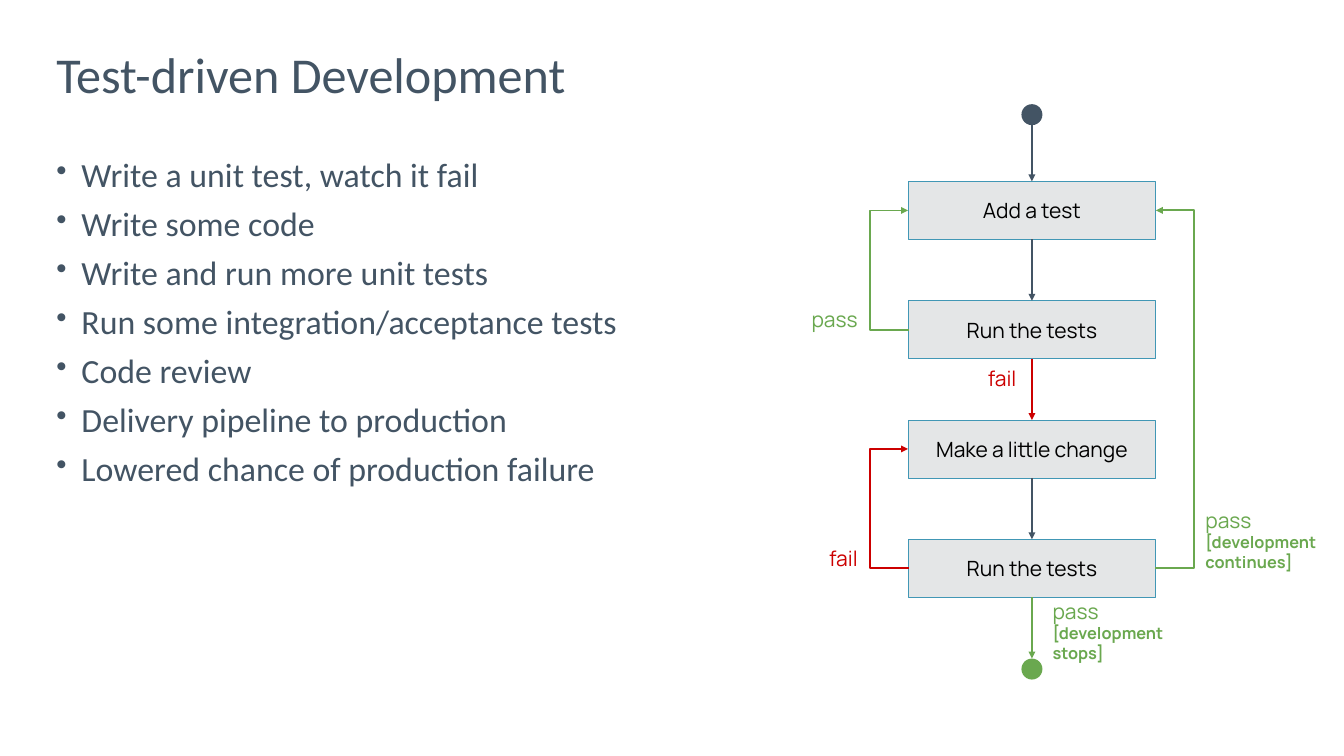
from lxml import etree
from pptx import Presentation
from pptx.dml.color import RGBColor
from pptx.enum.shapes import MSO_CONNECTOR, MSO_SHAPE
from pptx.enum.text import MSO_ANCHOR, PP_ALIGN
from pptx.oxml.ns import qn
from pptx.util import Inches, Pt

SLATE, GREEN, RED = "435464", "6AA84F", "CC0000"
POINTS = [
    "Write a unit test, watch it fail",
    "Write some code",
    "Write and run more unit tests",
    "Run some integration/acceptance tests",
    "Code review",
    "Delivery pipeline to production",
    "Lowered chance of production failure",
]
STEPS = ["Add a test", "Run the tests", "Make a little change", "Run the tests"]

# Flow chart grid
LEFT, TOP, WIDE, HIGH, PITCH = 10.82, 2.16, 2.93, 0.69, 1.42
RIGHT, MID = LEFT + WIDE, LEFT + WIDE / 2
DOT, REACH, STUB = 0.25, 0.47, 0.01


def paint(color, value):
    color.rgb = RGBColor.from_string(value)


def style(para, color, **form):
    for key, value in form.items():
        setattr(para.font, key, value)
    paint(para.font.color, color)


def set_frame(frame, pad, anchor):
    form = {"word_wrap": True, "vertical_anchor": anchor}
    for side in ("left", "right", "top", "bottom"):
        form[f"margin_{side}"] = Inches(pad)
    for key, value in form.items():
        setattr(frame, key, value)


def add_text(slide, box, lines, pad=0, anchor=MSO_ANCHOR.TOP):
    frame = slide.shapes.add_textbox(*map(Inches, box)).text_frame
    set_frame(frame, pad, anchor)
    frame.text = "\n".join(lines)
    return frame.paragraphs


def add_title(slide, text):
    para = add_text(slide, (0.67, 0.6, 14.67, 0.67), [text])[0]
    para.line_spacing = 0.9
    style(para, SLATE, name="Calibri", size=Pt(43))


def add_bullets(slide, lines):
    paras = add_text(slide, (0.67, 1.83, 8.51, 5.26), lines)
    for index, para in enumerate(paras):
        props = para._p.get_or_add_pPr()
        props.set("marL", str(Inches(0.3)))
        props.set("indent", str(Inches(-0.3)))
        etree.SubElement(props, qn("a:buSzPct")).set("val", "90000")
        etree.SubElement(props, qn("a:buChar")).set("char", "•")
        if index:
            para.space_before = Pt(7.2)
        style(para, SLATE, name="Calibri", size=Pt(29))


def add_shape(slide, kind, box, fill):
    shape = slide.shapes.add_shape(kind, *map(Inches, box))
    shape.shadow.inherit = False
    shape.fill.solid()
    paint(shape.fill.fore_color, fill)
    return shape


def add_step(slide, top, text):
    shape = add_shape(slide, MSO_SHAPE.RECTANGLE, (LEFT, top, WIDE, HIGH), "E4E6E7")
    paint(shape.line.color, "4197B5")
    shape.line.width = Pt(0.75)
    set_frame(shape.text_frame, 0.18, MSO_ANCHOR.MIDDLE)
    shape.text_frame.text = text
    para = shape.text_frame.paragraphs[0]
    para.alignment = PP_ALIGN.CENTER
    style(para, "000000", name="Manrope", size=Pt(18))
    return shape


def add_dot(slide, top, color):
    dot = add_shape(slide, MSO_SHAPE.OVAL, (MID - DOT / 2, top, DOT, DOT), color)
    dot.line.fill.background()


def add_arrow(slide, start, end, color, kind=MSO_CONNECTOR.STRAIGHT):
    arrow = slide.shapes.add_connector(kind, *map(Inches, start + end))
    paint(arrow.line.color, color)
    arrow.line.width = Pt(1.5)
    etree.SubElement(arrow.line._get_or_add_ln(), qn("a:tailEnd")).set("type", "triangle")
    etree.SubElement(arrow._element.spPr, qn("a:effectLst"))
    return arrow


def add_loop(slide, side, low, high, color):
    # The elbow swings out from the box edge by REACH
    shift = STUB if side == RIGHT else -STUB
    arrow = add_arrow(slide, (side, low), (side + shift, high), color, MSO_CONNECTOR.ELBOW)
    guides = arrow._element.spPr.find(qn("a:prstGeom")).get_or_add_avLst()
    guide = etree.SubElement(guides, qn("a:gd"))
    guide.set("name", "adj1")
    guide.set("fmla", f"val {round(REACH / STUB * 100000)}")


def add_label(slide, box, word, color, note=None):
    lines = [word, note] if note else [word]
    paras = add_text(slide, box, lines, 0.18, MSO_ANCHOR.MIDDLE)
    style(paras[0], color, name="Manrope", size=Pt(18))
    if note:
        style(paras[1], color, name="Manrope", size=Pt(14), bold=True)
    else:
        paras[0].alignment = PP_ALIGN.RIGHT


def main():
    deck = Presentation()
    deck.slide_width, deck.slide_height = Inches(16), Inches(9)
    slide = deck.slides.add_slide(deck.slide_layouts[6])

    add_title(slide, "Test-driven Development")
    add_bullets(slide, POINTS)

    # Steps and the arrows between them
    tops = [TOP + PITCH * index for index in range(len(STEPS))]
    boxes = [add_step(slide, top, text) for top, text in zip(tops, STEPS)]
    for upper, lower, top, color in zip(boxes, boxes[1:], tops, (SLATE, RED, SLATE)):
        arrow = add_arrow(slide, (MID, top + HIGH), (MID, top + PITCH), color)
        arrow.begin_connect(upper, 2)
        arrow.end_connect(lower, 0)

    # Loops back to earlier steps
    mids = [top + HIGH / 2 for top in tops]
    add_loop(slide, LEFT, mids[1], mids[0], GREEN)
    add_loop(slide, LEFT, mids[3], mids[2], RED)
    add_loop(slide, RIGHT, mids[3], mids[0], GREEN)

    # Start and stop
    first, last = 1.24, 7.84
    add_dot(slide, first, SLATE)
    add_dot(slide, last, GREEN)
    enter = add_arrow(slide, (MID, first + DOT), (MID, TOP), SLATE)
    enter.end_connect(boxes[0], 0)
    leave = add_arrow(slide, (MID, tops[3] + HIGH), (MID, last), GREEN)
    leave.begin_connect(boxes[3], 2)

    # Outcomes
    add_label(slide, (14.17, 6.08, 1.99, 0.68), "pass", GREEN, "[development continues]")
    add_label(slide, (12.35, 7.38, 2.25, 0.25), "pass", GREEN, "[development stops]")
    add_label(slide, (9.47, 6.52, 0.92, 0.25), "fail", RED)
    add_label(slide, (11.36, 4.37, 0.92, 0.25), "fail", RED)
    add_label(slide, (9.47, 3.67, 0.92, 0.25), "pass", GREEN)

    deck.save("out.pptx")


if __name__ == "__main__":
    main()
